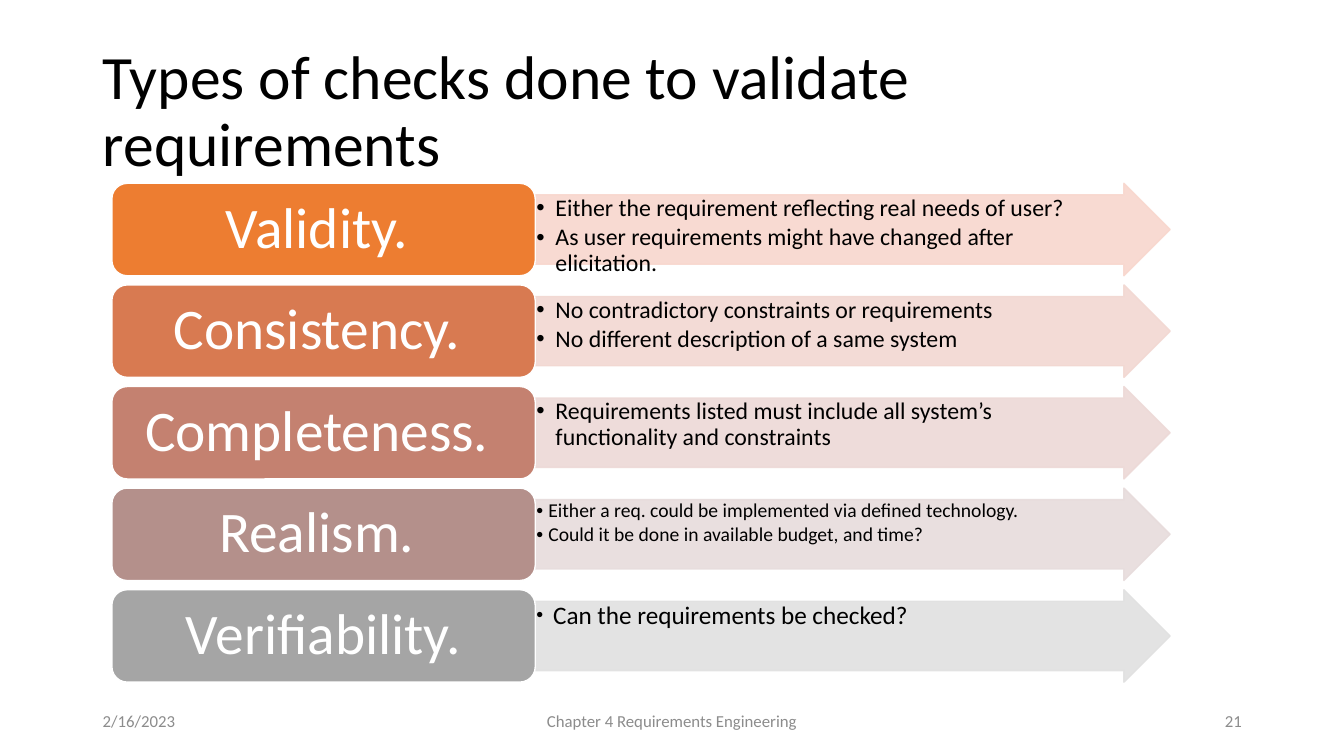
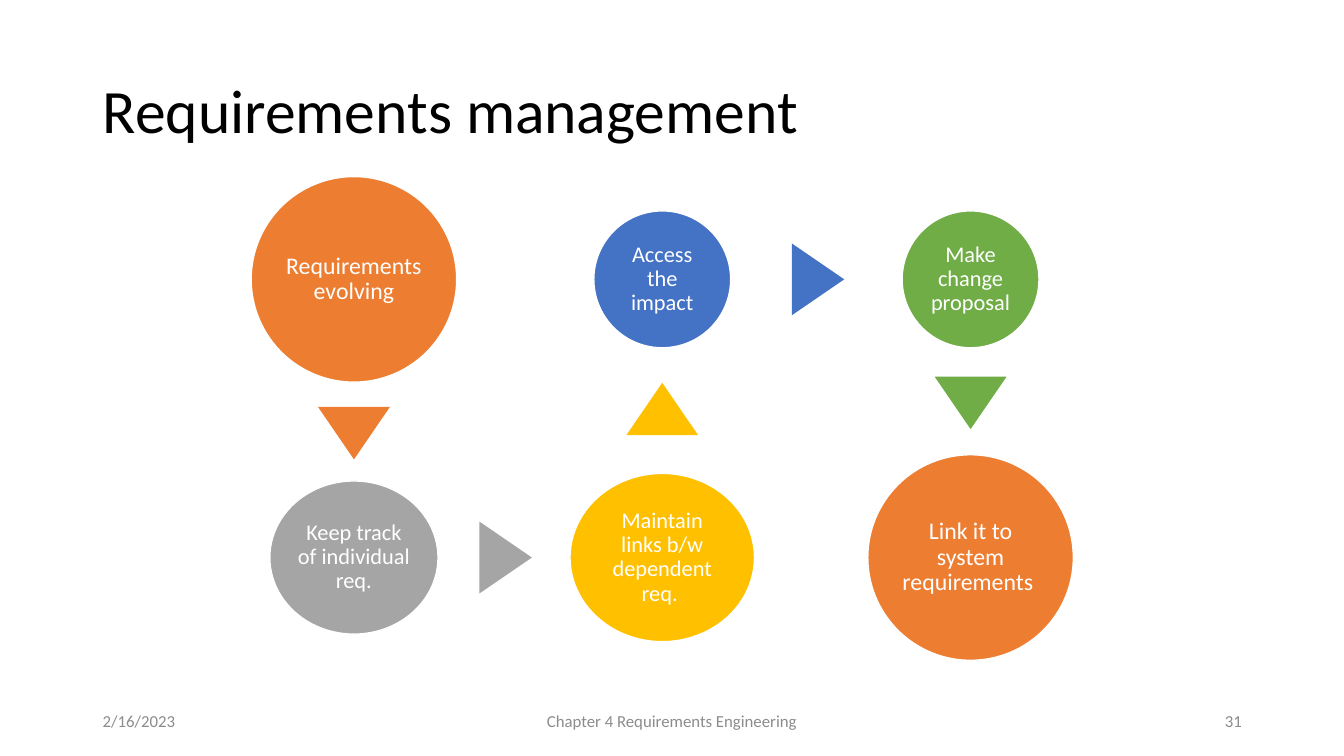
from dataclasses import dataclass
from itertools import pairwise

from lxml.etree import SubElement
from pptx import Presentation
from pptx.dml.color import RGBColor
from pptx.enum.shapes import MSO_SHAPE
from pptx.enum.text import MSO_ANCHOR, MSO_AUTO_SIZE, PP_ALIGN
from pptx.oxml.ns import qn
from pptx.util import Cm, Pt


@dataclass(frozen=True)
class Theme:
    font: str = "Calibri"
    ink: str = "000000"
    paper: str = "FFFFFF"
    muted: str = "8C8C8C"
    orange: str = "ED7D31"
    grey: str = "A5A5A5"
    gold: str = "FFC000"
    blue: str = "4472C4"
    green: str = "70AD47"
    check_fills: tuple = ("ED7D31", "D87A51", "C48170", "B4908B", "A5A5A5")
    check_tints: tuple = ("F8D7CE", "F2D8D2", "EDD9D7", "E7DCDC", "E1E1E1")
    tint_opacity: int = 90
    title_size: int = 44
    check_size: int = 41
    large_size: int = 18
    detail_size: int = 17
    step_size: int = 16
    small_size: int = 14
    footer_size: int = 12


THEME = Theme()


@dataclass(frozen=True)
class Check:
    name: str
    details: tuple
    size: int = THEME.detail_size
    indent: float = 0.48
    bullet_percent: int = 100


@dataclass(frozen=True)
class Step:
    caption: str
    column: int
    row: int
    width: float
    height: float
    colour: str
    size: int = THEME.step_size

    @property
    def centre(self):
        return 8.92 + 7.77 * self.column, 7.04 + 7.01 * self.row


CHECKS = (
    Check("Validity. ", (
        "Either the requirement reflecting real needs of user?",
        "As user requirements might have changed after elicitation.",
    )),
    Check("Consistency. ", (
        "No contradictory constraints or requirements",
        "No different description of a same system",
    )),
    Check("Completeness. ", (
        "Requirements listed must include all system’s functionality and constraints",
    )),
    Check("Realism. ", (
        "Either a req. could be implemented via defined technology.",
        "Could it be done in available budget, and time?",
    ), THEME.small_size, 0.3),
    Check("Verifiability.", ("Can the requirements be checked?",),
          THEME.large_size, 0.42, 78),
)

STEPS = (
    Step("Requirements evolving", 0, 0, 5.18, 5.18, THEME.orange, THEME.detail_size),
    Step("Keep track of individual req.", 0, 1, 4.24, 3.86, THEME.grey),
    Step("Maintain links b/w dependent req. ", 1, 1, 4.65, 4.24, THEME.gold),
    Step("Access the impact", 1, 0, 3.45, 3.45, THEME.blue),
    Step("Make change proposal", 2, 0, 3.45, 3.45, THEME.green),
    Step("Link it to system requirements ", 2, 1, 5.18, 5.18, THEME.orange,
         THEME.detail_size),
)


class Deck:
    def __init__(self, theme):
        self.theme = theme
        self.presentation = Presentation()
        self.presentation.slide_width = Cm(33.87)
        self.presentation.slide_height = Cm(19.05)
        self.slide = None

    def add_slide(self, title, number):
        layout = self.presentation.slide_layouts[5]
        self.slide = self.presentation.slides.add_slide(layout)
        heading = self.slide.shapes.title
        heading.left, heading.top = Cm(2.34), Cm(1.01)
        heading.width, heading.height = Cm(29.21), Cm(3.68)
        self.set_text(heading, [title], self.theme.title_size, self.theme.ink,
                      PP_ALIGN.LEFT, spacing=0.9)
        self.footer("2/16/2023", 2.34, 7.62, PP_ALIGN.LEFT)
        self.footer("Chapter 4 Requirements Engineering", 11.22, 11.43, PP_ALIGN.CENTER)
        self.footer(str(number), 23.93, 7.62, PP_ALIGN.RIGHT)

    def set_text(self, shape, lines, size, colour, align, anchor=MSO_ANCHOR.MIDDLE,
                 insets=(0.25, 0.13, 0.25, 0.13), spacing=1.0, after=0, bullets=None):
        frame = shape.text_frame
        frame.word_wrap = True
        frame.auto_size = MSO_AUTO_SIZE.NONE
        frame.vertical_anchor = anchor
        (frame.margin_left, frame.margin_top,
         frame.margin_right, frame.margin_bottom) = map(Cm, insets)
        frame.text = "\n".join(lines)
        for paragraph in frame.paragraphs:
            if bullets:
                self.bullet(paragraph, bullets)
            paragraph.alignment = align
            paragraph.line_spacing = spacing
            paragraph.space_after = Pt(after)
            paragraph.font.name = self.theme.font
            paragraph.font.size = Pt(size)
            paragraph.font.color.rgb = RGBColor.from_string(colour)

    def bullet(self, paragraph, check):
        properties = paragraph._p.get_or_add_pPr()
        properties.set("marL", str(Cm(check.indent)))
        properties.set("indent", str(-Cm(check.indent)))
        SubElement(properties, qn("a:buSzPct"), val=str(check.bullet_percent * 1000))
        SubElement(properties, qn("a:buFont"), typeface="Arial")
        SubElement(properties, qn("a:buChar"), char="•")

    def footer(self, words, left, width, align):
        box = self.slide.shapes.add_textbox(Cm(left), Cm(17.65), Cm(width), Cm(1.02))
        self.set_text(box, [words], self.theme.footer_size, self.theme.muted, align)

    def shape(self, kind, left, top, width, height, fill, outline=None):
        shape = self.slide.shapes.add_shape(
            kind, Cm(left), Cm(top), Cm(width), Cm(height))
        shape.shadow.inherit = False
        shape.fill.solid()
        shape.fill.fore_color.rgb = RGBColor.from_string(fill)
        if outline:
            shape.line.color.rgb = RGBColor.from_string(outline)
            shape.line.width = Pt(1)
        else:
            shape.line.fill.background()
        return shape

    def label(self, shape, words, size, insets):
        self.set_text(shape, [words], size, self.theme.paper, PP_ALIGN.CENTER,
                      insets=insets, spacing=0.9)

    def check_row(self, check, top, fill, tint):
        arrow = self.shape(MSO_SHAPE.RIGHT_ARROW, 13.49, top, 16, 2.33, tint, tint)
        arrow.adjustments[0], arrow.adjustments[1] = 0.75, 0.5
        for colour in arrow._element.spPr.iter(qn("a:srgbClr")):
            SubElement(colour, qn("a:alpha"), val=str(self.theme.tint_opacity * 1000))
        self.set_text(arrow, check.details, check.size, self.theme.ink, PP_ALIGN.LEFT,
                      MSO_ANCHOR.TOP, (0.03, 0.03, 0.6, 0.03), 0.9,
                      check.size * 0.15, check)
        name = self.shape(MSO_SHAPE.ROUNDED_RECTANGLE, 2.82, top, 10.67, 2.33,
                          fill, self.theme.paper)
        self.label(name, check.name, self.theme.check_size, (0.43, 0.23, 0.43, 0.23))

    def step(self, step):
        x, y = step.centre
        circle = self.shape(MSO_SHAPE.OVAL, x - step.width / 2, y - step.height / 2,
                            step.width, step.height, step.colour, self.theme.paper)
        self.label(circle, step.caption, step.size, (0.05,) * 4)

    def pointer(self, origin, target):
        width, height, nudge = 1.81, 1.32, 0.04
        (x, y), (next_x, next_y) = origin.centre, target.centre
        if origin.row == target.row:
            x = (x + next_x) / 2 + (origin.width - target.width) / 4 + nudge
            rotation = 90
        else:
            way = 1 if next_y > y else -1
            shift = (origin.height - target.height) / 4
            y = (y + next_y) / 2 + way * (shift + nudge)
            rotation = 180 if way > 0 else 0
        triangle = self.shape(MSO_SHAPE.ISOSCELES_TRIANGLE, x - width / 2,
                              y - height / 2, width, height, origin.colour)
        triangle.rotation = rotation


def main():
    deck = Deck(THEME)
    deck.add_slide("Types of checks done to validate requirements", 21)
    rows = zip(CHECKS, THEME.check_fills, THEME.check_tints)
    for index, (check, fill, tint) in enumerate(rows):
        deck.check_row(check, 4.62 + 2.56 * index, fill, tint)

    deck.add_slide("Requirements management", 31)
    for step in STEPS:
        deck.step(step)
    for origin, target in pairwise(STEPS):
        deck.pointer(origin, target)
    deck.presentation.save("out.pptx")


if __name__ == "__main__":
    main()
